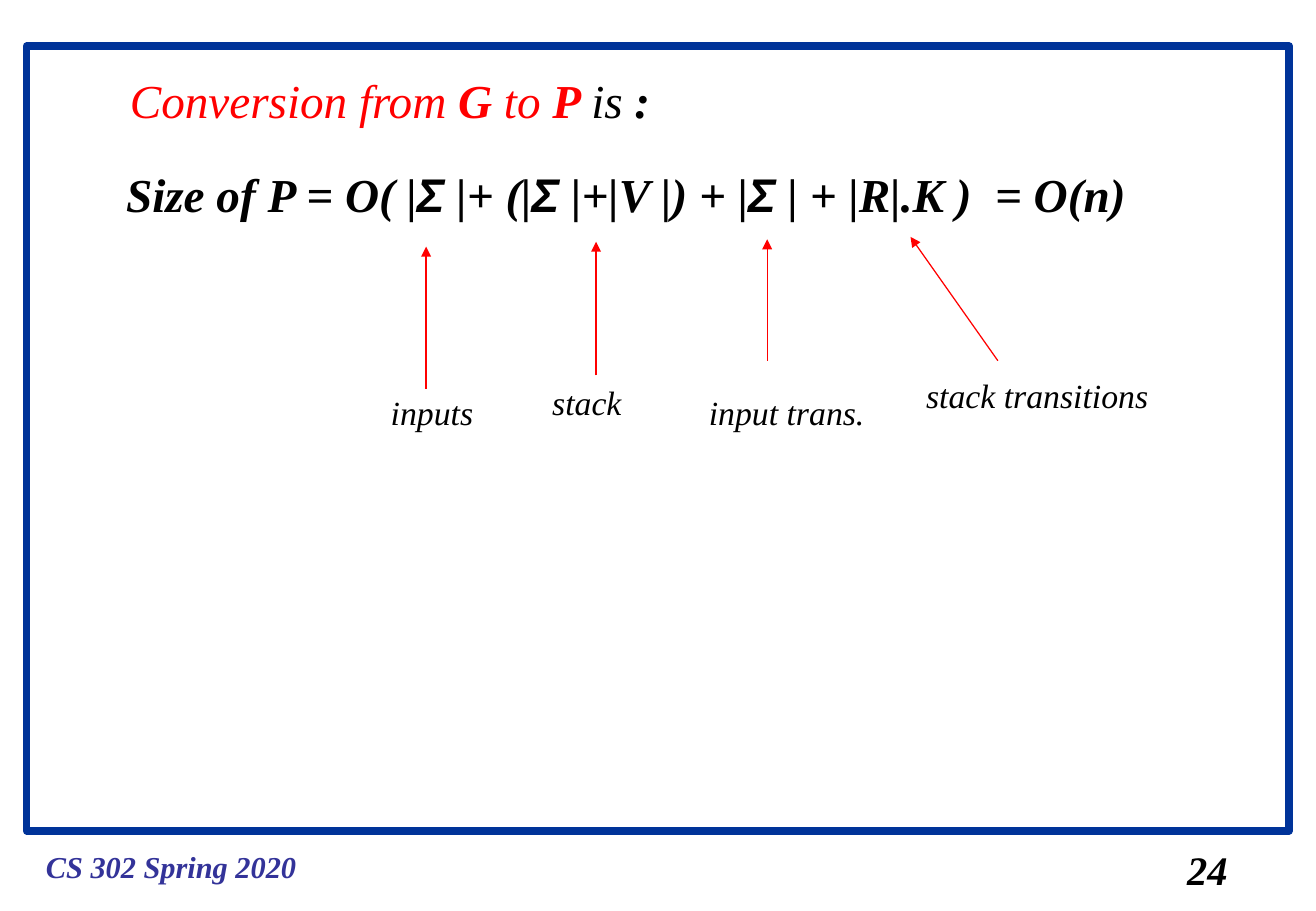
import dataclasses
import typing

import lxml.etree
import pptx
import pptx.dml.color
import pptx.enum.shapes
import pptx.enum.text
import pptx.oxml.ns
import pptx.util

PX = 9144  # EMU per px, 100 px to the inch


@dataclasses.dataclass(frozen=True)
class Theme:
    serif: str = "Times New Roman"
    sans: str = "Arial"
    ink: str = "000000"
    red: str = "FF0000"
    navy: str = "003399"
    course: str = "333399"
    head: int = 28
    page: int = 24
    label: int = 20
    foot: int = 18
    frame: float = 4.5
    arrow: float = 0.75


THEME = Theme()


class Box(typing.NamedTuple):
    left: int
    top: int
    width: int
    height: int


class Run(typing.NamedTuple):
    text: str
    size: int
    color: str = THEME.ink
    bold: bool = False
    face: str = THEME.serif


class Term(typing.NamedTuple):
    """A label and the arrow from it up to its part of the formula."""
    text: str
    box: Box
    tail: tuple[int, int]
    tip: tuple[int, int]


TITLE = [
    Run("Conversion from ", THEME.head, THEME.red),
    Run("G", THEME.head, THEME.red, True),
    Run(" to ", THEME.head, THEME.red),
    Run("P ", THEME.head, THEME.red, True),
    Run("is", THEME.head),
    Run(" :", THEME.head, bold=True),
]
SIGMA = Run("Σ", THEME.head, bold=True, face=THEME.sans)
PARTS = ["Size of P = O( |", " |+ (|", " |+|V |) + |", " | + |R|.K )  = O(n)"]
TERMS = [
    Term("inputs", Box(312, 318, 88, 44), (351, 320), (351, 203)),
    Term("stack", Box(445, 309, 77, 44), (491, 309), (491, 199)),
    Term("input trans.", Box(574, 318, 148, 44), (632, 297), (632, 197)),
    Term("stack transitions", Box(753, 304, 203, 44), (822, 297), (750, 195)),
]


def rgb(code: str) -> pptx.dml.color.RGBColor:
    return pptx.dml.color.RGBColor.from_string(code)


def scale(values: typing.Iterable[int]) -> list[int]:
    return [value * PX for value in values]


def write(shape, runs: list[Run]) -> None:
    frame = shape.text_frame
    style = {
        "word_wrap": False,
        "auto_size": pptx.enum.text.MSO_AUTO_SIZE.NONE,
        "vertical_anchor": pptx.enum.text.MSO_ANCHOR.TOP,
    }
    for name, value in style.items():
        setattr(frame, name, value)
    line = frame.paragraphs[0]
    line.alignment = pptx.enum.text.PP_ALIGN.LEFT
    for item in runs:
        run = line.add_run()
        run.text = item.text
        look = {"name": item.face, "size": pptx.util.Pt(item.size),
                "bold": item.bold, "italic": True}
        for name, value in look.items():
            setattr(run.font, name, value)
        run.font.color.rgb = rgb(item.color)


def add_text(slide, box: Box, runs: list[Run]) -> None:
    write(slide.shapes.add_textbox(*scale(box)), runs)


def add_title(slide, box: Box, runs: list[Run]) -> None:
    title = slide.shapes.title
    for name, value in zip(box._fields, scale(box)):
        setattr(title, name, value)
    write(title, runs)


def add_frame(slide, box: Box) -> None:
    kind = pptx.enum.shapes.MSO_SHAPE.RECTANGLE
    frame = slide.shapes.add_shape(kind, *scale(box))
    frame.shadow.inherit = False
    frame.fill.background()
    frame.line.color.rgb = rgb(THEME.navy)
    frame.line.width = pptx.util.Pt(THEME.frame)


def add_arrow(slide, term: Term) -> None:
    kind = pptx.enum.shapes.MSO_CONNECTOR.STRAIGHT
    arrow = slide.shapes.add_connector(kind, *scale(term.tail + term.tip))
    arrow.line.color.rgb = rgb(THEME.red)
    arrow.line.width = pptx.util.Pt(THEME.arrow)
    qn = pptx.oxml.ns.qn
    end = lxml.etree.SubElement(arrow.line._get_or_add_ln(), qn("a:tailEnd"))
    end.set("type", "triangle")
    lxml.etree.SubElement(arrow._element.spPr, qn("a:effectLst"))


def main() -> None:
    deck = pptx.Presentation()
    deck.slide_width, deck.slide_height = scale((1084, 750))
    slide = deck.slides.add_slide(deck.slide_layouts[5])

    add_frame(slide, Box(22, 38, 1040, 646))
    add_title(slide, Box(97, 54, 451, 57), TITLE)

    size = [Run(PARTS[0], THEME.head, bold=True)]
    for part in PARTS[1:]:
        size += [SIGMA, Run(part, THEME.head, bold=True)]
    add_text(slide, Box(94, 131, 845, 57), size)

    for term in TERMS:
        add_arrow(slide, term)
        add_text(slide, term.box, [Run(term.text, THEME.label)])

    add_text(slide, Box(28, 693, 226, 40),
             [Run("CS 302 Spring 2020", THEME.foot, THEME.course, True)])
    add_text(slide, Box(968, 691, 53, 50), [Run("24", THEME.page, bold=True)])
    deck.save("out.pptx")


if __name__ == "__main__":
    main()
